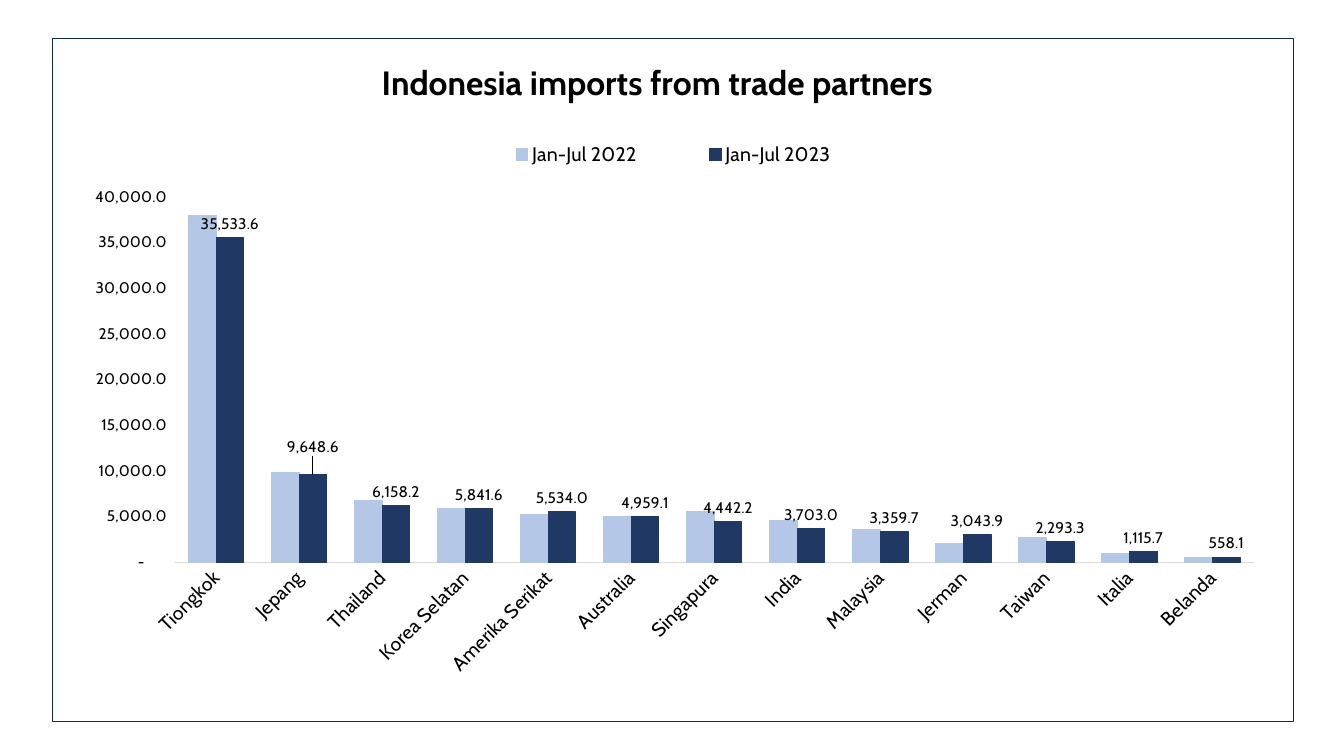
from lxml import etree
from pptx import Presentation
from pptx import util as u
from pptx.chart import data as chart_data
from pptx.dml import color
from pptx.enum import chart as kinds
from pptx.oxml import ns

FONT = "Cabin"
COLORS = {"text": "000000", "axis": "D9D9D9", "border": "0A2C4B",
          "2022": "B4C7E7", "2023": "203864"}
NUMBERS = '_(* #,##0.0_);_(* \\(#,##0.0\\);_(* "-"??_);_(@_)'
IMPORTS = [  # partner, Jan-Jul 2022, Jan-Jul 2023
    ("Tiongkok", 38000, 35533.6),
    ("Jepang", 9800, 9648.6),
    ("Thailand", 6800, 6158.2),
    ("Korea Selatan", 5900, 5841.6),
    ("Amerika Serikat", 5200, 5534.0),
    ("Australia", 5000, 4959.1),
    ("Singapura", 5500, 4442.2),
    ("India", 4600, 3703.0),
    ("Malaysia", 3600, 3359.7),
    ("Jerman", 2000, 3043.9),
    ("Taiwan", 2700, 2293.3),
    ("Italia", 900, 1115.7),
    ("Belanda", 500, 558.1),
]


def rgb(name):
    return color.RGBColor.from_string(COLORS[name])


def style_font(font, size, bold=False):
    font.name, font.size, font.bold = FONT, u.Pt(size), bold
    font.color.rgb = rgb("text")


def place_after(element, edge=True, inner=False, **fractions):
    """Put a manual layout, in fractions of the chart, after an element."""
    parent = element.getparent()
    for old in parent.findall(ns.qn("c:layout")):
        parent.remove(old)
    layout = etree.Element(ns.qn("c:layout"))
    manual = etree.SubElement(layout, ns.qn("c:manualLayout"))
    settings = {"layoutTarget": "inner"} if inner else {}
    if edge:
        settings.update(xMode="edge", yMode="edge")
    settings.update(fractions)
    for tag, value in settings.items():
        etree.SubElement(manual, ns.qn("c:" + tag)).set("val", str(value))
    element.addnext(layout)


def add_title(chart, text):
    frame = chart.chart_title.text_frame
    span = frame.paragraphs[0].add_run()
    span.text = text
    style_font(span.font, 24, bold=True)
    title = chart._chartSpace.chart.find(ns.qn("c:title"))
    place_after(title.find(ns.qn("c:tx")), x=0.26, y=0.02)


def add_legend(chart):
    chart.has_legend = True
    legend = chart.legend
    legend.position = kinds.XL_LEGEND_POSITION.TOP
    legend.include_in_layout = False
    style_font(legend.font, 14)
    place_after(legend._element.find(ns.qn("c:legendPos")),
                x=0.32, y=0.14, w=0.36, h=0.06)


def style_axes(chart):
    partners, amounts = chart.category_axis, chart.value_axis
    for axis, size in ((partners, 14), (amounts, 11)):
        axis.has_major_gridlines = False
        axis.major_tick_mark = axis.minor_tick_mark = kinds.XL_TICK_MARK.NONE
        style_font(axis.tick_labels.font, size)
    partners.format.line.color.rgb = rgb("axis")
    partners.format.line.width = u.Pt(0.75)
    slant = partners._element.find(ns.qn("c:txPr")).find(ns.qn("a:bodyPr"))
    slant.set("rot", "-2700000")
    slant.set("vert", "horz")
    amounts.format.line.fill.background()
    amounts.minimum_scale, amounts.maximum_scale = 0, 40000
    amounts.major_unit = 5000
    amounts.tick_labels.number_format = NUMBERS
    amounts.tick_labels.number_format_is_linked = False


def style_series(plot):
    plot.gap_width, plot.overlap = 100, 0
    plot.vary_by_categories = False
    for series, year in zip(plot.series, ("2022", "2023")):
        series.format.fill.solid()
        series.format.fill.fore_color.rgb = rgb(year)
        series.format.line.color.rgb = rgb(year)
        series.format.line.width = u.Pt(0.75)
        series.invert_if_negative = False

    # Values above the 2023 columns, with Jepang lifted a little
    latest = plot.series[1]
    labels = latest.data_labels
    labels.show_value = True
    labels.number_format, labels.number_format_is_linked = NUMBERS, False
    labels.position = kinds.XL_LABEL_POSITION.OUTSIDE_END
    style_font(labels.font, 11)
    lifted = latest.points[1].data_label
    style_font(lifted.font, 11)
    lifted.position = kinds.XL_LABEL_POSITION.OUTSIDE_END
    place_after(labels._element.find(ns.qn("c:dLbl")).find(ns.qn("c:idx")),
                edge=False, x=0, y=-0.02)


def add_border(chart):
    outline = etree.Element(ns.qn("c:spPr"))
    etree.SubElement(outline, ns.qn("a:noFill"))
    line = etree.SubElement(outline, ns.qn("a:ln"), w=str(u.Pt(0.75)))
    fill = etree.SubElement(line, ns.qn("a:solidFill"))
    etree.SubElement(fill, ns.qn("a:srgbClr"), val=COLORS["border"])
    chart._chartSpace.chart.addnext(outline)


def add_import_chart(page, box):
    partners, before, latest = zip(*IMPORTS)
    figures = chart_data.CategoryChartData(number_format=NUMBERS)
    figures.categories = partners
    figures.add_series("Jan-Jul 2022", before)
    figures.add_series("Jan-Jul 2023", latest)
    chart = page.shapes.add_chart(kinds.XL_CHART_TYPE.COLUMN_CLUSTERED,
                                  *map(u.Pt, box), figures).chart
    style_font(chart.font, 11)
    add_title(chart, "Indonesia imports from trade partners")
    add_legend(chart)
    style_axes(chart)
    style_series(chart.plots[0])
    add_border(chart)

    # Plot area inside the axes
    area = chart._chartSpace.chart.plotArea
    marker = etree.Element(ns.qn("c:layout"))
    area.insert(0, marker)
    place_after_first(area, marker)


def place_after_first(area, marker):
    """Fix the plot area, whose layout must be its first child."""
    area.remove(marker)
    for old in area.findall(ns.qn("c:layout")):
        area.remove(old)
    start = etree.Element(ns.qn("c:extLst"))
    area.insert(0, start)
    place_after(start, inner=True, x=0.098, y=0.232, w=0.87, h=0.535)
    area.remove(start)


def main():
    deck = Presentation()
    deck.slide_width, deck.slide_height = u.Pt(960), u.Pt(540)
    page = deck.slides.add_slide(deck.slide_layouts[6])
    add_import_chart(page, (37.44, 27.36, 887.04, 488.16))
    deck.save("out.pptx")


if __name__ == "__main__":
    main()
